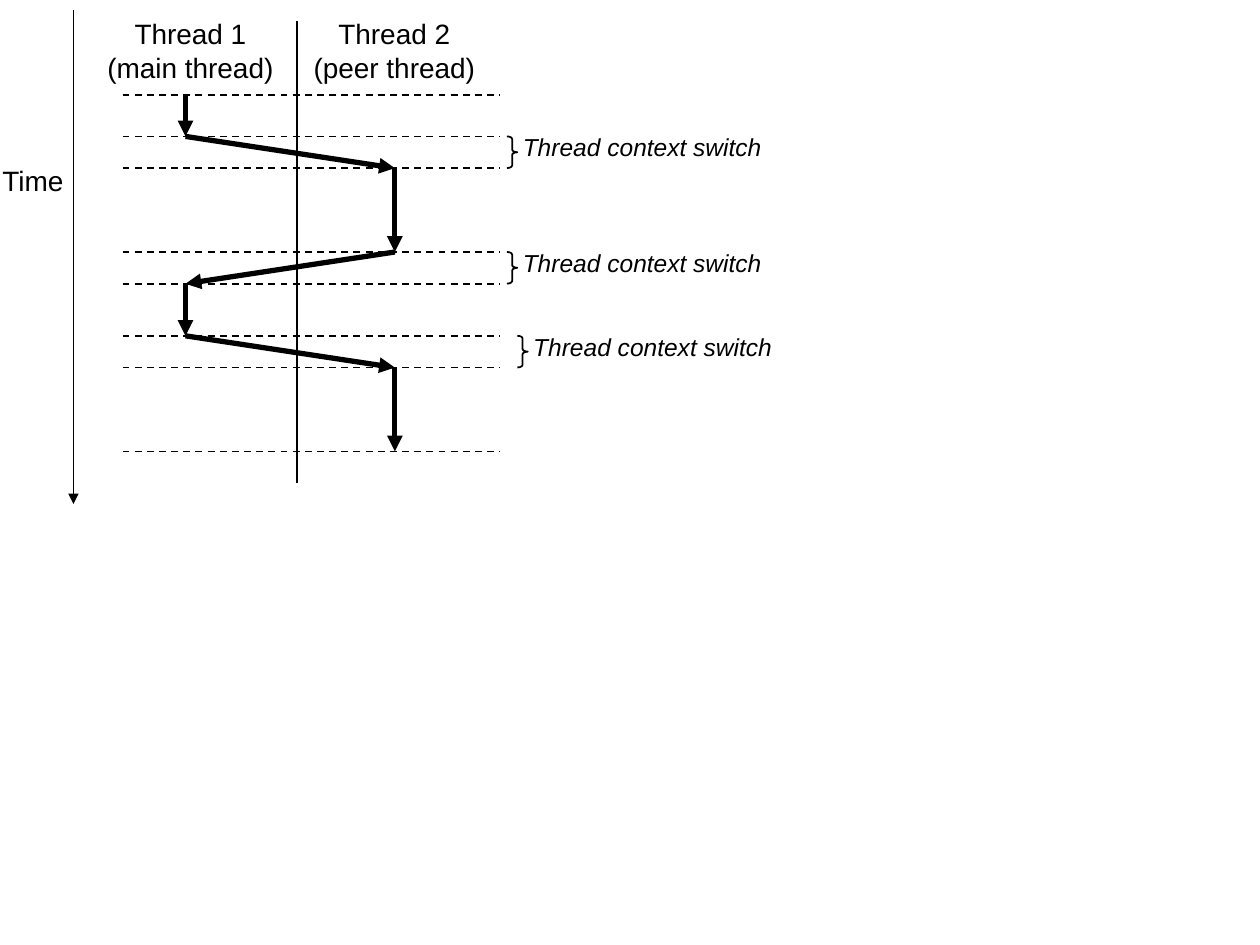
from itertools import pairwise

from lxml import etree
from pptx import Presentation
from pptx import util as u
from pptx.dml.color import RGBColor
from pptx.enum import dml, shapes, text
from pptx.oxml.ns import qn

BLACK = "000000"


def add_line(start, end, width=1, dashed=False, arrow=False):
    """Draw a black line between two (x, y) points in centimetres."""
    line = slide.shapes.add_connector(
        shapes.MSO_CONNECTOR.STRAIGHT, *(u.Cm(value) for value in (*start, *end)))
    line.line.color.rgb = RGBColor.from_string(BLACK)
    line.line.width = u.Pt(width)
    if dashed:
        line.line.dash_style = dml.MSO_LINE.DASH
    if arrow:
        etree.SubElement(line.line._get_or_add_ln(), qn("a:tailEnd"), type="triangle")
    etree.SubElement(line._element.spPr, qn("a:effectLst"))


def add_label(box, lines, size=16, align=text.PP_ALIGN.LEFT, italic=False):
    """Place unwrapped text in a (left, top, width, height) box in centimetres."""
    shape = slide.shapes.add_textbox(*(u.Cm(value) for value in box))
    frame = shape.text_frame
    frame.word_wrap = False
    frame.auto_size = text.MSO_AUTO_SIZE.SHAPE_TO_FIT_TEXT
    frame.text = "\n".join(lines)
    font_format = {"name": "Arial", "size": u.Pt(size), "italic": italic}
    for paragraph in frame.paragraphs:
        paragraph.alignment = align
        for name, value in font_format.items():
            setattr(paragraph.font, name, value)
        paragraph.font.color.rgb = RGBColor.from_string(BLACK)


presentation = Presentation()
presentation.slide_width = u.Cm(25.4)
presentation.slide_height = u.Cm(19.05)
slide = presentation.slides.add_slide(presentation.slide_layouts[6])

# Time axis and the divider between the threads
add_line((1.48, 0.21), (1.48, 10.16), arrow=True)
add_label((-0.2, 3.18, 1.75, 0.94), ["Time"])
add_line((5.99, 0.43), (5.99, 9.74))

# Thread headings
for left, width, lines in [
    (1.91, 3.86, ["Thread 1", "(main thread)"]),
    (6.07, 3.76, ["Thread 2", "(peer thread)"]),
]:
    add_label((left, 0.21, width, 1.63), lines, align=text.PP_ALIGN.CENTER)

# Execution passes from thread to thread at these moments
main_x, peer_x = 3.74, 7.96
moments = [
    (1.91, main_x), (2.75, main_x), (3.39, peer_x), (5.08, peer_x),
    (5.72, main_x), (6.77, main_x), (7.41, peer_x), (9.1, peer_x),
]
for y, x in moments:
    add_line((2.47, y), (10.08, y), dashed=True)
for (start_y, start_x), (end_y, end_x) in pairwise(moments):
    add_line((start_x, start_y), (end_x, end_y), width=3, arrow=True)

# Braces marking the context switches
switch_height = 0.64
for brace_left, label_left, top in [
    (10.22, 10.29, 2.75), (10.22, 10.29, 5.08), (10.43, 10.5, 6.77),
]:
    brace = slide.shapes.add_shape(
        shapes.MSO_SHAPE.RIGHT_BRACE,
        u.Cm(brace_left), u.Cm(top), u.Cm(0.21), u.Cm(switch_height))
    brace.adjustments[0] = 0.25
    brace.shadow.inherit = False
    brace.fill.background()
    brace.line.color.rgb = RGBColor.from_string(BLACK)
    brace.line.width = u.Pt(1)
    add_label((label_left, top - 0.21, 5.46, 0.86), ["Thread context switch"],
              size=14, italic=True)

presentation.save("out.pptx")
